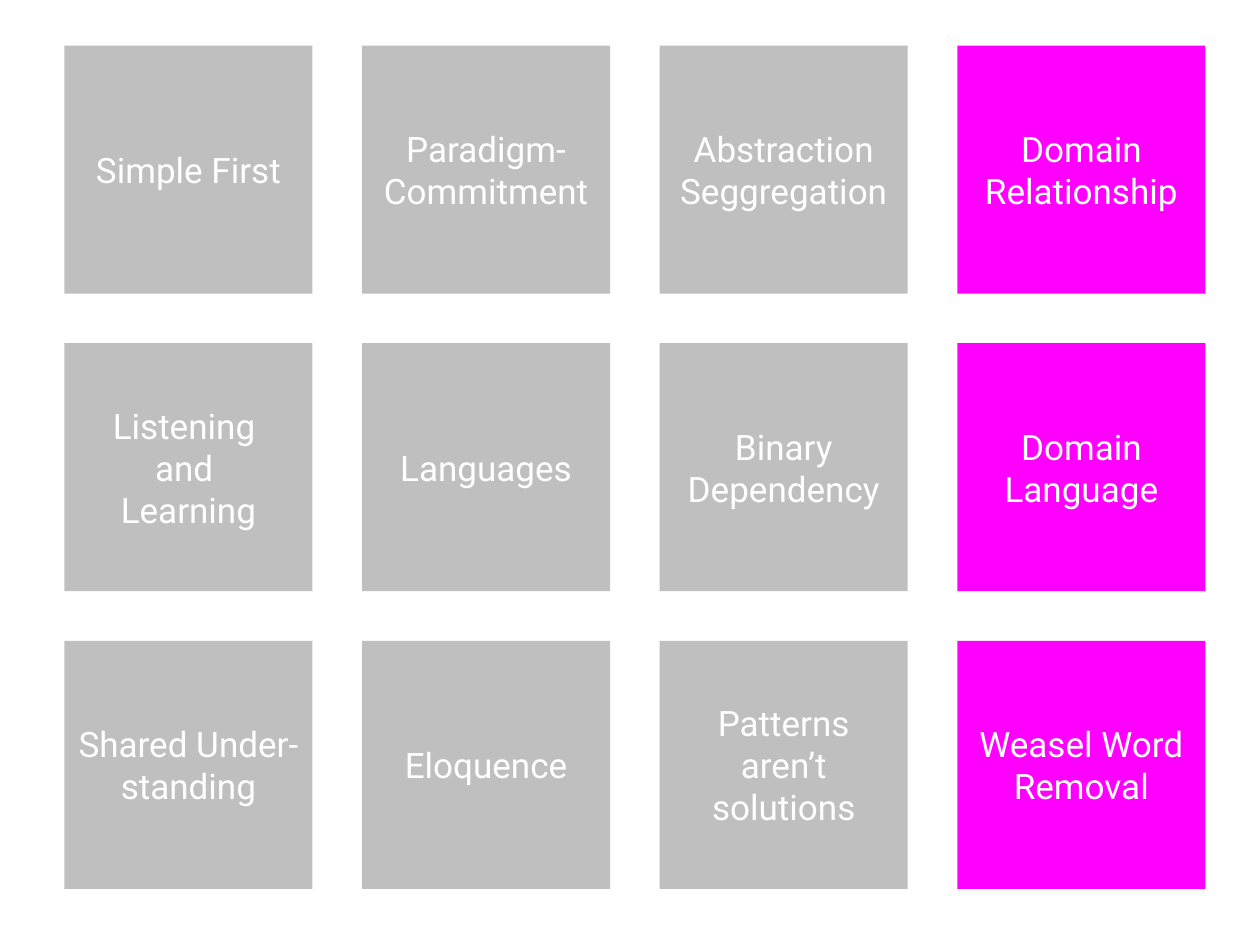
from pptx import Presentation
from pptx.dml.color import RGBColor
from pptx.enum import shapes, text
from pptx.util import Cm, Pt

COLORS = {"muted": "BFBFBF", "accent": "FF00FF", "label": "FFFFFF"}

LEFT, TOP = 1.3, 0.92
SIDE, PITCH = 5, 6
ACCENT_COLUMN = 3

PRINCIPLES = [
    ["Simple First", "Paradigm-Commitment", "Abstraction Seggregation", "Domain Relationship"],
    ["Listening \nand \nLearning", "Languages", "Binary Dependency", "Domain Language"],
    ["Shared Under-standing", "Eloquence", "Patterns aren’t solutions", "Weasel Word Removal"],
]


class Board:
    """Holds the text style and the slide being filled."""

    font = {"name": "Roboto", "size": Pt(20)}
    frame = {"word_wrap": True, "vertical_anchor": text.MSO_ANCHOR.MIDDLE}

    def __init__(self, slide):
        self.slide = slide

    def tile(self, left, top, label, color):
        sp = self.slide.shapes.add_shape(
            shapes.MSO_SHAPE.RECTANGLE, Cm(left), Cm(top), Cm(SIDE), Cm(SIDE))
        sp.shadow.inherit = False
        sp.fill.solid()
        sp.fill.fore_color.rgb = RGBColor.from_string(COLORS[color])
        sp.line.fill.background()

        tf = sp.text_frame
        for name, value in self.frame.items():
            setattr(tf, name, value)
        p = tf.paragraphs[0]
        p.text = label
        p.alignment = text.PP_ALIGN.CENTER
        for r in p.runs:
            for name, value in self.font.items():
                setattr(r.font, name, value)
            r.font.color.rgb = RGBColor.from_string(COLORS["label"])


def main():
    prs = Presentation()
    prs.slide_width, prs.slide_height = Cm(25.4), Cm(19.05)
    board = Board(prs.slides.add_slide(prs.slide_layouts[6]))
    for row, labels in enumerate(PRINCIPLES):
        for col, label in enumerate(labels):
            color = "accent" if col == ACCENT_COLUMN else "muted"
            board.tile(LEFT + col * PITCH, TOP + row * PITCH, label, color)
    prs.save("out.pptx")


if __name__ == "__main__":
    main()
